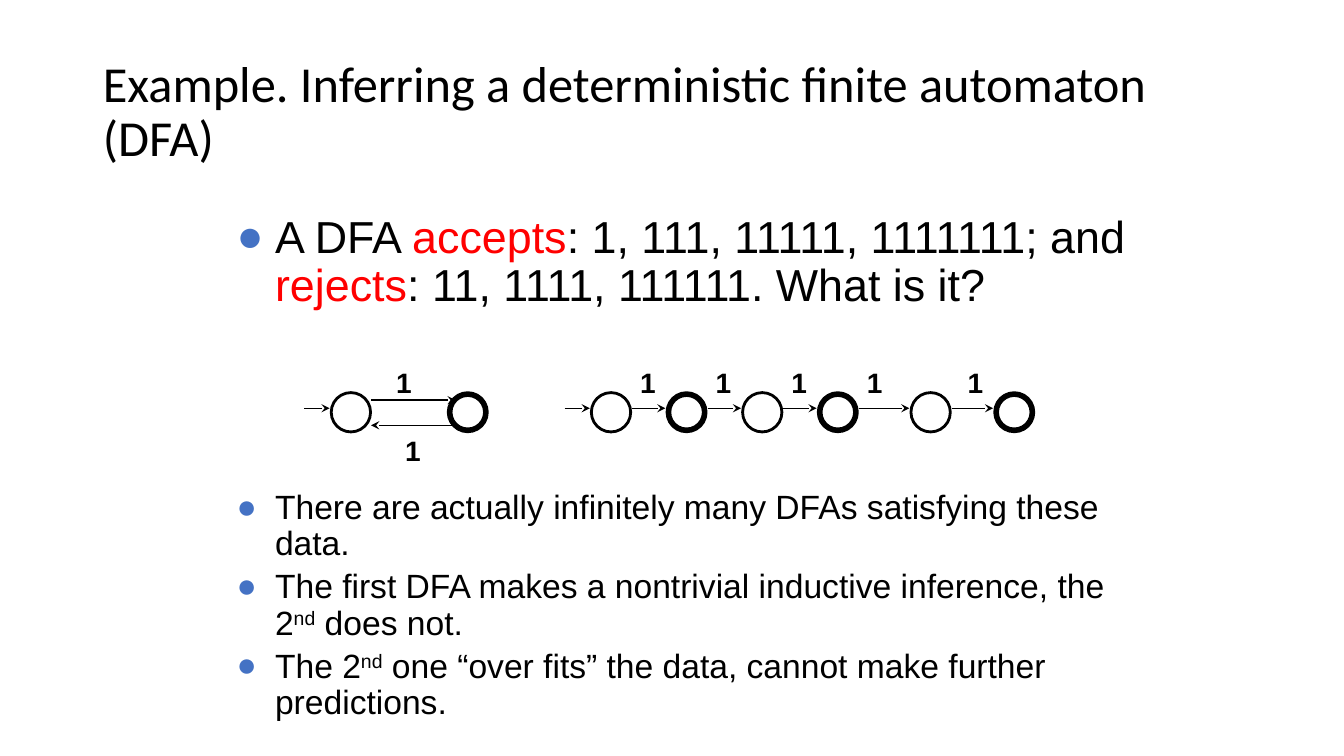
from lxml import etree
from pptx import Presentation
from pptx.dml.color import RGBColor
from pptx.enum.shapes import MSO_CONNECTOR, MSO_SHAPE
from pptx.enum.text import MSO_ANCHOR, MSO_AUTO_SIZE, PP_ALIGN
from pptx.oxml.ns import qn
from pptx.util import Inches, Pt

STRAIGHT = MSO_CONNECTOR.STRAIGHT
ELLIPSE = MSO_SHAPE.OVAL
MIDDLE = MSO_ANCHOR.MIDDLE
LEFT = PP_ALIGN.LEFT
NO_AUTOFIT = MSO_AUTO_SIZE.NONE

COLORS = {"ink": "000000", "highlight": "FF0000", "bullet": "4472C4"}
STATE_Y = 4.09
ARROW_Y = 4.05
STATE_REACH = 0.21  # from a state's centre to the end of an arrow
ENTRY_LENGTH = 0.25
LABEL_WIDTH = 0.36
LABEL_TOP = 3.58

LOOP_STATES = [3.48, 4.64]
CHAIN_STATES = [6.06, 6.81, 7.56, 8.31, 9.23, 10.06]
CHAIN_LABELS = [6.43, 7.18, 7.93, 8.68, 9.68]

QUESTION = [
    ("A DFA ", {}),
    ("accepts", {"color": "highlight"}),
    (": 1, 111, 11111, 1111111; and ", {}),
    ("rejects", {"color": "highlight"}),
    (": 11, 1111, 111111. What is it?", {}),
]
REMARKS = [
    [("There are actually infinitely many DFAs satisfying these data.", {})],
    [("The first DFA makes a nontrivial inductive inference, the 2", {}),
     ("nd", {"superscript": True}), (" does not.", {})],
    [("The 2", {}), ("nd", {"superscript": True}),
     (" one \u201cover fits\u201d the data, cannot make further predictions.", {})],
]


def rgb(name):
    """Return the named colour."""
    return RGBColor.from_string(COLORS[name])


def add_text(paragraph, text, size=24, font="Arial", color="ink", bold=False,
             superscript=False):
    """Append a formatted run to a paragraph."""
    run = paragraph.add_run()
    run.text = text
    run.font.size = Pt(size)
    run.font.name = font
    run.font.bold = bold
    run.font.color.rgb = rgb(color)
    if superscript:
        run.font._element.set("baseline", "30000")


def add_bullet(paragraph):
    """Give a paragraph a hanging, coloured round bullet."""
    properties = paragraph._p.get_or_add_pPr()
    properties.set("marL", str(Inches(0.38)))
    properties.set("indent", str(-Inches(0.38)))
    color = etree.SubElement(properties, qn("a:buClr"))
    etree.SubElement(color, qn("a:srgbClr"), val=COLORS["bullet"])
    etree.SubElement(properties, qn("a:buFont"), typeface="Arial")
    etree.SubElement(properties, qn("a:buChar"), char="\u25cf")


def add_title(slide, text):
    """Place and fill the title placeholder."""
    title = slide.shapes.title
    title.left, title.top = Inches(0.92), Inches(0.4)
    title.width, title.height = Inches(11.5), Inches(1.45)
    frame = title.text_frame
    frame.auto_size = NO_AUTOFIT
    frame.vertical_anchor = MIDDLE
    paragraph = frame.paragraphs[0]
    paragraph.alignment = LEFT
    paragraph.line_spacing = 0.9
    add_text(paragraph, text, size=36, font="Calibri")


def add_body(slide):
    """Add the question and the remarks, with room for the automata between."""
    box = slide.shapes.add_textbox(Inches(2.25), Inches(2.08), Inches(9.17), Inches(4.95))
    frame = box.text_frame
    frame.word_wrap = True
    items = [(QUESTION, 32, 6.4)]
    items += [(runs, 24, 4.8 if index else 128) for index, runs in enumerate(REMARKS)]
    for index, (runs, size, space) in enumerate(items):
        paragraph = frame.add_paragraph() if index else frame.paragraphs[0]
        paragraph.line_spacing = 0.9
        paragraph.space_before = Pt(space)
        add_bullet(paragraph)
        for text, style in runs:
            add_text(paragraph, text, size=size, **style)


def add_state(slide, center, accepting):
    """Draw a state; accepting states have a heavy outline."""
    diameter, weight = (0.36, 4) if accepting else (0.39, 2)
    state = slide.shapes.add_shape(
        ELLIPSE, Inches(center - diameter / 2), Inches(STATE_Y - diameter / 2),
        Inches(diameter), Inches(diameter))
    state.shadow.inherit = False
    state.fill.background()
    state.line.color.rgb = rgb("ink")
    state.line.width = Pt(weight)


def add_arrow(slide, start, end, y=ARROW_Y):
    """Draw a horizontal arrow."""
    arrow = slide.shapes.add_connector(
        STRAIGHT, Inches(start), Inches(y), Inches(end), Inches(y))
    arrow.line.color.rgb = rgb("ink")
    arrow.line.width = Pt(1)
    etree.SubElement(arrow.line._get_or_add_ln(), qn("a:tailEnd"), type="stealth")
    etree.SubElement(arrow._element.spPr, qn("a:effectLst"))


def add_label(slide, center, top=LABEL_TOP):
    """Add the input symbol of a transition."""
    box = slide.shapes.add_textbox(
        Inches(center - LABEL_WIDTH / 2), Inches(top), Inches(LABEL_WIDTH), Inches(0.44))
    box.text_frame.word_wrap = False
    add_text(box.text_frame.paragraphs[0], "1", size=20, bold=True)


def add_states(slide, centers):
    """Draw alternating states and the arrow entering the first one."""
    for index, center in enumerate(centers):
        add_state(slide, center, accepting=index % 2 == 1)
    entry = centers[0] - STATE_REACH
    add_arrow(slide, entry - ENTRY_LENGTH, entry)


def add_loop(slide):
    """Draw the two-state automaton."""
    add_states(slide, LOOP_STATES)
    add_arrow(slide, 3.68, 4.52, y=3.97)
    add_arrow(slide, 4.52, 3.68, y=4.22)
    add_label(slide, 4.01)
    add_label(slide, 4.1, top=4.25)


def add_chain(slide):
    """Draw the automaton that spells out the data."""
    add_states(slide, CHAIN_STATES)
    for start, end, label in zip(CHAIN_STATES, CHAIN_STATES[1:], CHAIN_LABELS):
        add_arrow(slide, start + STATE_REACH, end - STATE_REACH)
        add_label(slide, label)


def main():
    """Build and save the slide."""
    presentation = Presentation()
    presentation.slide_width = Inches(13.33)
    presentation.slide_height = Inches(7.5)
    slide = presentation.slides.add_slide(presentation.slide_layouts[5])
    add_title(slide, "Example. Inferring a deterministic finite automaton (DFA)")
    add_body(slide)
    add_loop(slide)
    add_chain(slide)
    presentation.save("out.pptx")


main()
